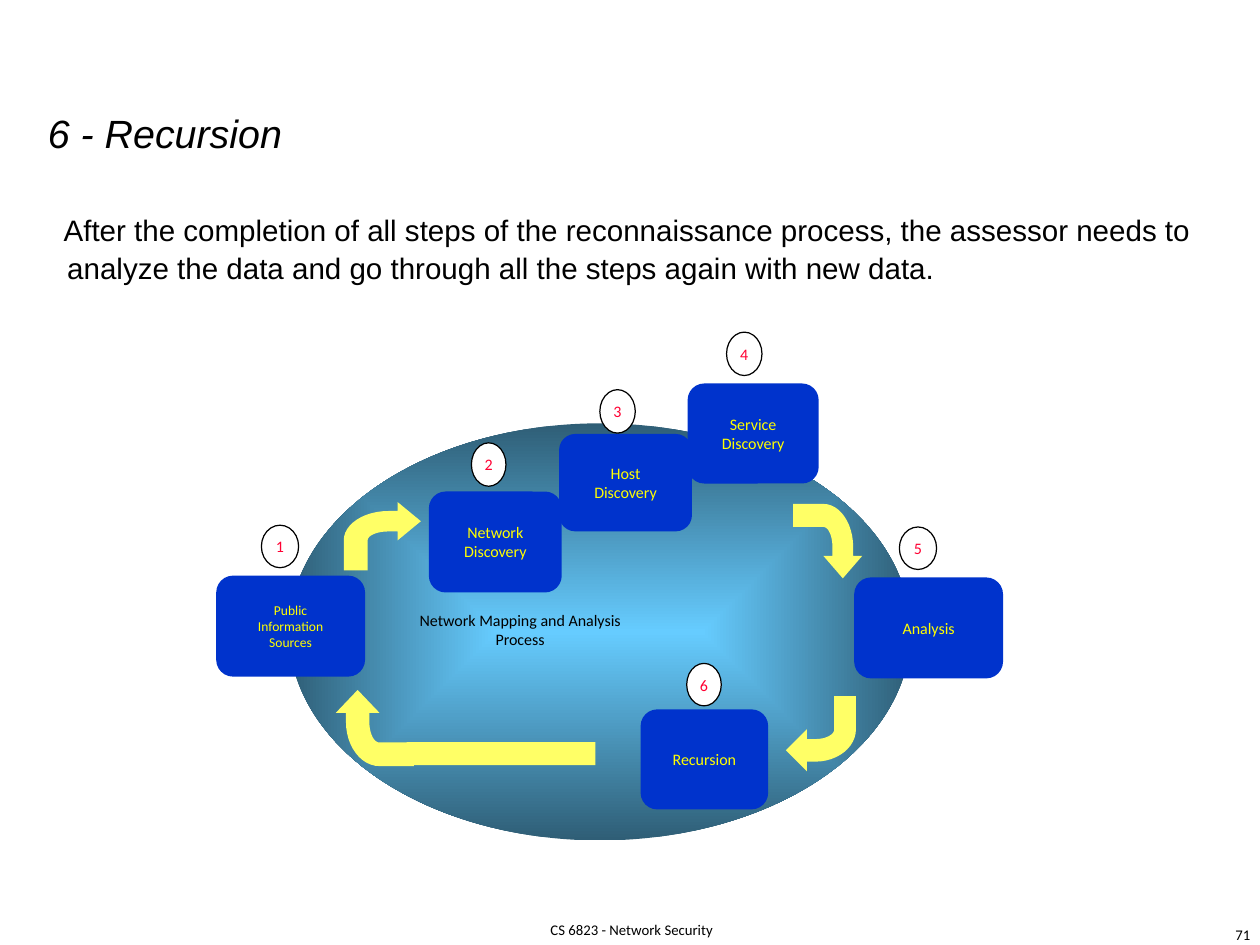
from dataclasses import dataclass
from math import cos, pi, sin

from lxml.etree import SubElement
from pptx import Presentation
from pptx.dml.color import RGBColor
from pptx.enum.shapes import MSO_SHAPE as Preset
from pptx.enum.text import MSO_ANCHOR as Anchor, PP_ALIGN as Align
from pptx.oxml.ns import qn
from pptx.util import Inches, Pt

COLORS = {
    "black": "000000",
    "white": "FFFFFF",
    "box": "0033CC",
    "box_text": "FFFF00",
    "arrow": "FFFF66",
    "number": "FF0033",
    "oval_center": "66CCFF",
    "oval_edge": "2F5E76",
}
CURVE_STEPS = 12


@dataclass
class Area:
    left: float
    top: float
    width: float
    height: float

    def lengths(self) -> list:
        return [Inches(v) for v in (self.left, self.top, self.width, self.height)]


@dataclass
class Step:
    number: int
    label: str
    box: Area
    badge: Area
    size: int = 13


@dataclass
class BentArrow:
    area: Area
    rotation: int


STEPS = [
    Step(1, "Public\nInformation\nSources", Area(2.44, 6.5, 1.68, 1.14), Area(2.95, 5.93, 0.42, 0.48), 11),
    Step(6, "Recursion", Area(7.23, 8.01, 1.44, 1.13), Area(7.75, 7.49, 0.39, 0.48)),
    Step(4, "Service\nDiscovery", Area(7.76, 4.33, 1.48, 1.13), Area(8.2, 3.75, 0.4, 0.49)),
    Step(3, "Host\nDiscovery", Area(6.31, 4.9, 1.5, 1.1), Area(6.77, 4.4, 0.4, 0.49)),
    Step(2, "Network\nDiscovery", Area(4.84, 5.55, 1.5, 1.14), Area(5.32, 5, 0.39, 0.49)),
    Step(5, "Analysis", Area(9.64, 6.52, 1.68, 1.14), Area(10.15, 5.95, 0.42, 0.48)),
]
ARROWS = [
    BentArrow(Area(3.88, 5.67, 0.87, 0.77), 0),
    BentArrow(Area(8.92, 5.72, 0.84, 0.78), 90),
    BentArrow(Area(8.87, 7.86, 0.79, 0.85), 180),
    BentArrow(Area(3.8, 7.78, 0.86, 0.88), 270),
]


def rgb(name: str) -> RGBColor:
    return RGBColor.from_string(COLORS[name])


def write(shape, text: str, *, size: int, color: str = "black", font: str = "Calibri",
          italic: bool = False, align=Align.CENTER, anchor=Anchor.MIDDLE,
          wrap: bool = False, hanging: float = 0, spacing: float = 1, inset=None) -> None:
    frame = shape.text_frame
    frame.word_wrap = wrap
    frame.vertical_anchor = anchor
    if inset is not None:
        frame.margin_left = frame.margin_right = Inches(inset)
        frame.margin_top = frame.margin_bottom = Inches(inset)
    for index, line in enumerate(text.split("\n")):
        para = frame.add_paragraph() if index else frame.paragraphs[0]
        para.alignment = align
        para.line_spacing = spacing
        if hanging:
            properties = para._p.get_or_add_pPr()
            properties.set("marL", str(Inches(hanging)))
            properties.set("indent", str(-Inches(hanging)))
        span = para.add_run()
        span.text = line
        span.font.name = font
        span.font.size = Pt(size)
        span.font.italic = italic
        span.font.color.rgb = rgb(color)


def add_text(page, area: Area, text: str, **style) -> None:
    write(page.shapes.add_textbox(*area.lengths()), text, **style)


def paint(shape, fill: str, line: str = "") -> None:
    shape.shadow.inherit = False
    shape.fill.solid()
    shape.fill.fore_color.rgb = rgb(fill)
    if line:
        shape.line.color.rgb = rgb(line)
        shape.line.width = Pt(1)
    else:
        shape.line.fill.background()


def add_oval(page, area: Area) -> None:
    oval = page.shapes.add_shape(Preset.OVAL, *area.lengths())
    oval.shadow.inherit = False
    oval.line.fill.background()
    oval.fill.gradient()
    for stop, name in zip(oval.fill.gradient_stops, ("oval_center", "oval_edge")):
        stop.color.rgb = rgb(name)
    gradient = oval._element.spPr.find(qn("a:gradFill"))
    gradient.remove(gradient.find(qn("a:lin")))
    shading = SubElement(gradient, qn("a:path"), {"path": "shape"})
    SubElement(shading, qn("a:fillToRect"), {side: "50000" for side in "ltrb"})


def quarter_curve(center_x: float, center_y: float, radius_x: float, radius_y: float) -> list:
    angles = [pi / 2 * i / CURVE_STEPS for i in range(CURVE_STEPS + 1)]
    return [(center_x - radius_x * cos(a), center_y - radius_y * sin(a)) for a in angles]


def add_bent_arrow(page, arrow: BentArrow) -> None:
    head = [(0.7, 0.13), (0.7, 0), (1, 0.28), (0.7, 0.56), (0.7, 0.43)]
    outer = quarter_curve(0.58, 0.56, 0.58, 0.43)
    inner = quarter_curve(0.58, 0.56, 0.27, 0.13)
    outline = [(0, 1), *outer, *head, *reversed(inner), (0.31, 1)]
    area = arrow.area
    points = [(Inches(area.left + x * area.width), Inches(area.top + y * area.height))
              for x, y in outline]
    builder = page.shapes.build_freeform(*points[0])
    builder.add_line_segments(points[1:], close=True)
    shape = builder.convert_to_shape()
    shape.rotation = arrow.rotation
    paint(shape, "arrow")


def add_step(page, step: Step) -> None:
    box = page.shapes.add_shape(Preset.ROUNDED_RECTANGLE, *step.box.lengths())
    paint(box, "box")
    write(box, step.label, size=step.size, color="box_text")
    badge = page.shapes.add_shape(Preset.OVAL, *step.badge.lengths())
    paint(badge, "white", "black")
    write(badge, str(step.number), size=13, color="number")


def main() -> None:
    deck = Presentation()
    deck.slide_width, deck.slide_height = Inches(14.22), Inches(10.67)
    page = deck.slides.add_slide(deck.slide_layouts[5])

    title = page.shapes.title
    title.left, title.top, title.width, title.height = Area(0.44, 1.17, 12.8, 0.66).lengths()
    write(title, "6 - Recursion", size=32, font="Arial", italic=True,
          align=Align.LEFT, wrap=True, hanging=0.04)

    add_text(page, Area(13.78, 10.4, 0.43, 0.26), "71", size=12,
             align=Align.RIGHT, anchor=Anchor.TOP, wrap=True)
    add_text(page, Area(6.08, 10.4, 2.1, 0.19), "CS 6823 - Network Security",
             size=12, wrap=True, inset=0)
    add_text(page, Area(0.62, 2.33, 13.15, 1.85),
             "After the completion of all steps of the reconnaissance process, the assessor "
             "needs to analyze the data and go through all the steps again with new data.",
             size=24, font="Arial", align=Align.LEFT, anchor=Anchor.TOP, wrap=True,
             hanging=0.04, spacing=1.05)

    add_oval(page, Area(3.26, 4.78, 7.02, 4.71))
    for arrow in ARROWS:
        add_bent_arrow(page, arrow)
    bar = page.shapes.add_shape(Preset.RECTANGLE, *Area(4.59, 8.38, 2.13, 0.26).lengths())
    paint(bar, "arrow")
    for step in STEPS:
        add_step(page, step)
    add_text(page, Area(4.57, 6.84, 2.6, 0.55), "Network Mapping and Analysis\nProcess",
             size=13, anchor=Anchor.TOP, wrap=True)

    deck.save("out.pptx")


if __name__ == "__main__":
    main()
